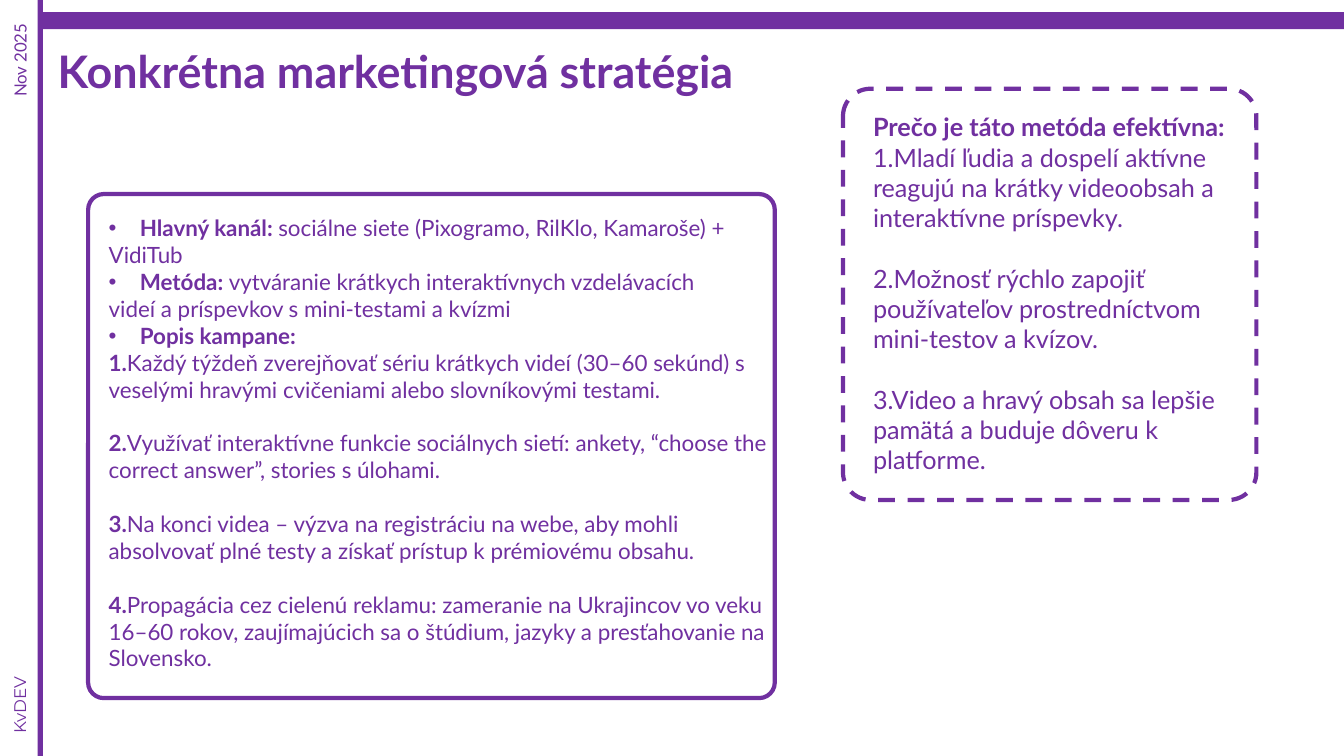
"""Build the marketing strategy slide."""
from dataclasses import dataclass

from lxml import etree
from pptx import Presentation
from pptx.dml.color import RGBColor
from pptx.enum.dml import MSO_LINE
from pptx.enum.shapes import MSO_SHAPE
from pptx.enum.text import MSO_ANCHOR, MSO_AUTO_SIZE, PP_ALIGN
from pptx.oxml.ns import qn
from pptx.util import Inches, Pt

RECT, ROUND = MSO_SHAPE.RECTANGLE, MSO_SHAPE.ROUNDED_RECTANGLE
DASH = MSO_LINE.DASH
TOP, LEFT, FIXED = MSO_ANCHOR.TOP, PP_ALIGN.LEFT, MSO_AUTO_SIZE.NONE


@dataclass(frozen=True)
class Theme:
    """Colours, fonts and type sizes."""
    ink: RGBColor = RGBColor(0x70, 0x30, 0xA0)
    font: str = "Lato"
    alt: str = "Montserrat"
    head: int = 32
    note: int = 18
    body: int = 16
    side: int = 12
    line: int = 3


T = Theme()
WIDE, HIGH = 13.33, 7.5

# Each paragraph: bold part, plain part, mark ("•" bullet, "gap" space above).
TITLE = [("Konkrétna marketingová stratégia", "", "")]
DATE = [("", "Nov 2025", "")]
MAKER = [("", "KvDEV", "")]
PLAN = [
    ("Hlavný kanál: ", "sociálne siete (Pixogramo, RilKlo, Kamaroše) +", "•"),
    ("", "VidiTub", ""),
    ("Metóda: ", "vytváranie krátkych interaktívnych vzdelávacích", "•"),
    ("", "videí a príspevkov s mini-testami a kvízmi", ""),
    ("Popis kampane:", "", "•"),
    ("1.", "Každý týždeň zverejňovať sériu krátkych videí (30–60 sekúnd) s "
     "veselými hravými cvičeniami alebo slovníkovými testami.", ""),
    ("2.", "Využívať interaktívne funkcie sociálnych sietí: ankety, “choose the "
     "correct answer”, stories s úlohami.", "gap"),
    ("3.", "Na konci videa – výzva na registráciu na webe, aby mohli "
     "absolvovať plné testy a získať prístup k prémiovému obsahu.", "gap"),
    ("4.", "Propagácia cez cielenú reklamu: zameranie na Ukrajincov vo veku "
     "16–60 rokov, zaujímajúcich sa o štúdium, jazyky a presťahovanie na "
     "Slovensko.", "gap"),
]
WHY = [
    ("Prečo je táto metóda efektívna:", "", ""),
    ("", "1.Mladí ľudia a dospelí aktívne reagujú na krátky videoobsah a "
     "interaktívne príspevky.", ""),
    ("", "2.Možnosť rýchlo zapojiť používateľov prostredníctvom mini-testov "
     "a kvízov.", "gap"),
    ("", "3.Video a hravý obsah sa lepšie pamätá a buduje dôveru k "
     "platforme.", "gap"),
]

# Places are left, top, width, height in percent of the slide.
BARS = [(2.81, 0, 0.38, 100), (3, 1.6, 97, 2.27)]
FRAMES = [((62.72, 11.73, 30.76, 54.4), 0.067, DASH),
          ((6.56, 25.67, 51.09, 66.67), 0.031, None)]
HEAD = (3.53, 5.07, 51.84, 15.73)
TEXTS = [
    (DATE, (-2.03, 5.87, 7.05, 4), dict(size=T.side, turn=270, wrap=False)),
    (MAKER, (-1.88, 90.4, 6.68, 4),
     dict(size=T.side, font=T.alt, turn=270, wrap=False)),
    (WHY, (64.22, 14.13, 30.38, 49.87), dict(size=T.note)),
    (PLAN, (7.35, 27.73, 51.09, 62.4), dict(size=T.body)),
]


def area(place):
    """Turn percent shares into slide lengths."""
    sides = (WIDE, HIGH, WIDE, HIGH)
    return [Inches(part * side / 100) for part, side in zip(place, sides)]


def dot(para):
    """Give a paragraph a bullet with a hanging indent."""
    props = para._p.get_or_add_pPr()
    props.set("marL", str(Inches(0.31)))
    props.set("indent", str(Inches(-0.31)))
    etree.SubElement(props, qn("a:buFont")).set("typeface", "Arial")
    etree.SubElement(props, qn("a:buChar")).set("char", "•")


def write(shape, paras, size=T.body, font=T.font, turn=0, wrap=True):
    """Fill a shape with formatted paragraphs."""
    shape.rotation = turn
    frame = shape.text_frame
    frame.word_wrap, frame.auto_size = wrap, FIXED
    frame.vertical_anchor = TOP
    for n, (bold, plain, mark) in enumerate(paras):
        para = frame.add_paragraph() if n else frame.paragraphs[0]
        para.alignment = LEFT
        if mark == "gap":
            para.space_before = Pt(size * 1.2)
        elif mark == "•":
            dot(para)
        for text, heavy in ((bold, True), (plain, False)):
            if text:
                run = para.add_run()
                run.text = text
                run.font.name, run.font.size = font, Pt(size)
                run.font.bold = heavy
                run.font.color.rgb = T.ink


def draw(slide, kind, place):
    """Add a shape without shadow."""
    shape = slide.shapes.add_shape(kind, *area(place))
    shape.shadow.inherit = False
    return shape


def main():
    """Compose and save the slide."""
    deck = Presentation()
    deck.slide_width, deck.slide_height = Inches(WIDE), Inches(HIGH)
    slide = deck.slides.add_slide(deck.slide_layouts[5])

    title = slide.shapes.title
    title.left, title.top, title.width, title.height = area(HEAD)
    write(title, TITLE, size=T.head)

    for place in BARS:
        bar = draw(slide, RECT, place)
        bar.fill.solid()
        bar.fill.fore_color.rgb = T.ink
        bar.line.fill.background()

    for place, curve, dash in FRAMES:
        box = draw(slide, ROUND, place)
        box.adjustments[0] = curve
        box.fill.background()
        box.line.color.rgb = T.ink
        box.line.width = Pt(T.line)
        if dash:
            box.line.dash_style = dash

    for paras, place, style in TEXTS:
        write(slide.shapes.add_textbox(*area(place)), paras, **style)

    deck.save("out.pptx")


if __name__ == "__main__":
    main()
